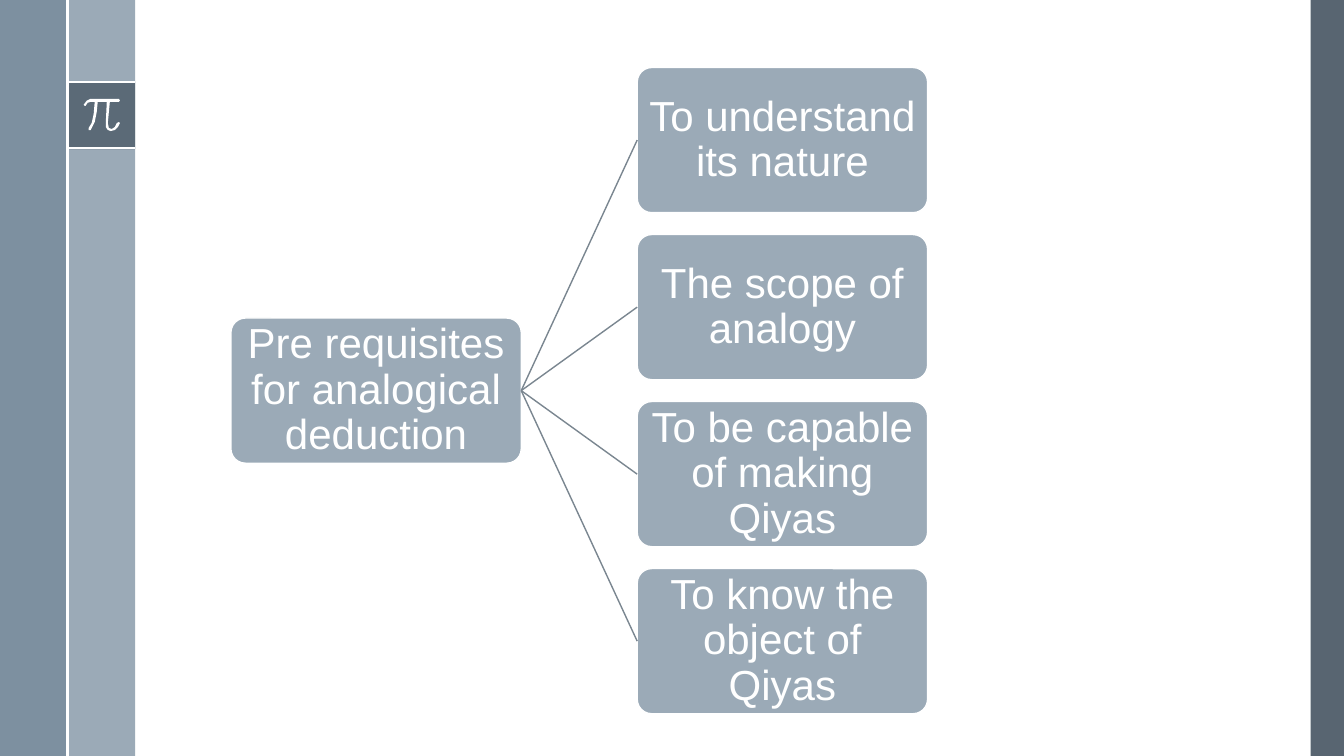
from lxml import etree
from pptx import Presentation
from pptx.dml.color import RGBColor
from pptx.enum.shapes import MSO_CONNECTOR, MSO_SHAPE
from pptx.enum.text import MSO_ANCHOR, PP_ALIGN
from pptx.oxml.ns import qn
from pptx.util import Inches, Pt

RECT = MSO_SHAPE.RECTANGLE
ROUND = MSO_SHAPE.ROUNDED_RECTANGLE
STRAIGHT = MSO_CONNECTOR.STRAIGHT
MIDDLE = MSO_ANCHOR.MIDDLE
CENTER = PP_ALIGN.CENTER

WHITE = RGBColor(0xFF, 0xFF, 0xFF)
DARK = RGBColor(0x46, 0x55, 0x62)
STEEL = RGBColor(0x6A, 0x80, 0x93)
MIST = RGBColor(0x9B, 0xAA, 0xB7)
GREY = RGBColor(0x7A, 0x86, 0x90)

RIGHT, LEFT = 3, 1  # connection sites


class Deck:
    font = "Arial"
    size = Pt(30)
    box_w, box_h = 2.88, 1.44

    def __init__(self):
        self.prs = Presentation()
        self.prs.slide_width = Inches(13.33)
        self.prs.slide_height = Inches(7.5)
        self.slide = self.prs.slides.add_slide(self.prs.slide_layouts[6])
        self.shapes = self.slide.shapes

    def paint(self, shape, color, alpha=100):
        shape.shadow.inherit = False
        shape.fill.solid()
        shape.fill.fore_color.rgb = color
        shape.line.fill.background()
        if alpha < 100:
            tone = shape.fill._xPr.find(qn("a:solidFill"))[0]
            etree.SubElement(tone, qn("a:alpha"), val=str(alpha * 1000))

    def bar(self, x, y, w, h, color, alpha=100):
        shape = self.shapes.add_shape(
            RECT, Inches(x), Inches(y), Inches(w), Inches(h))
        self.paint(shape, color, alpha)

    def line(self, x1, y1, x2, y2, color, width):
        link = self.shapes.add_connector(
            STRAIGHT, Inches(x1), Inches(y1), Inches(x2), Inches(y2))
        link.line.color.rgb = color
        link.line.width = Pt(width)
        etree.SubElement(link._element.spPr, qn("a:effectLst"))
        return link

    def outline(self, points, color):
        pen = self.shapes.build_freeform(
            Inches(points[0][0]), Inches(points[0][1]))
        pen.add_line_segments(
            [(Inches(x), Inches(y)) for x, y in points[1:]])
        self.paint(pen.convert_to_shape(), color)

    def box(self, x, y, text):
        shape = self.shapes.add_shape(
            ROUND, Inches(x), Inches(y),
            Inches(self.box_w), Inches(self.box_h))
        shape.adjustments[0] = 0.1
        self.paint(shape, MIST)
        shape.line.color.rgb = WHITE
        shape.line.width = Pt(1)
        frame = shape.text_frame
        frame.word_wrap = True
        frame.vertical_anchor = MIDDLE
        frame.margin_left = frame.margin_right = Inches(0.02)
        frame.margin_top = frame.margin_bottom = Inches(0.02)
        para = frame.paragraphs[0]
        para.alignment = CENTER
        para.line_spacing = 0.9
        run = para.add_run()
        run.text = text
        run.font.name = self.font
        run.font.size = self.size
        run.font.color.rgb = WHITE
        return shape

    def join(self, start, end):
        link = self.line(0, 0, 1, 1, GREY, 1)
        link.begin_connect(start, RIGHT)
        link.end_connect(end, LEFT)


def main():
    deck = Deck()

    # Side bands
    deck.bar(13, 0, 0.33, 7.5, DARK, 90)
    deck.bar(0.67, 0, 0.67, 7.5, MIST)
    deck.bar(0, 0, 0.67, 7.5, STEEL, 87)

    # Pi badge
    deck.bar(0.67, 0.81, 0.67, 0.67, DARK, 75)
    for y in (0.81, 1.47):
        deck.line(0.67, y, 1.34, y, WHITE, 1.5)
    deck.outline([
        (1.18, 0.98), (0.9, 0.98), (0.86, 1), (0.83, 1.04), (0.84, 1.05),
        (0.85, 1.05), (0.87, 1.02), (0.9, 1.01), (0.94, 1.01),
        (0.93, 1.13), (0.91, 1.22), (0.88, 1.27), (0.88, 1.29),
        (0.9, 1.29), (0.94, 1.21), (0.96, 1.11), (0.97, 1.01),
        (1.06, 1.01), (1.05, 1.22), (1.05, 1.26), (1.07, 1.29),
        (1.1, 1.3), (1.14, 1.29), (1.17, 1.26), (1.19, 1.22),
        (1.18, 1.21), (1.16, 1.22), (1.14, 1.26), (1.11, 1.28),
        (1.08, 1.27), (1.07, 1.22), (1.09, 1.01), (1.18, 1.01),
        (1.19, 1)], WHITE)
    deck.line(0.67, 0, 0.67, 7.5, WHITE, 1.5)

    # Tree: root in the middle of four branches
    top, step = 0.67, 1.657
    items = ["To understand its nature", "The scope of analogy",
             "To be capable of making Qiyas", "To know the object of Qiyas"]
    mid = top + step * (len(items) - 1) / 2
    root = deck.box(2.29, mid, "Pre requisites for analogical deduction")
    for i, text in enumerate(items):
        deck.join(root, deck.box(6.32, top + i * step, text))

    deck.prs.save("out.pptx")


if __name__ == "__main__":
    main()
